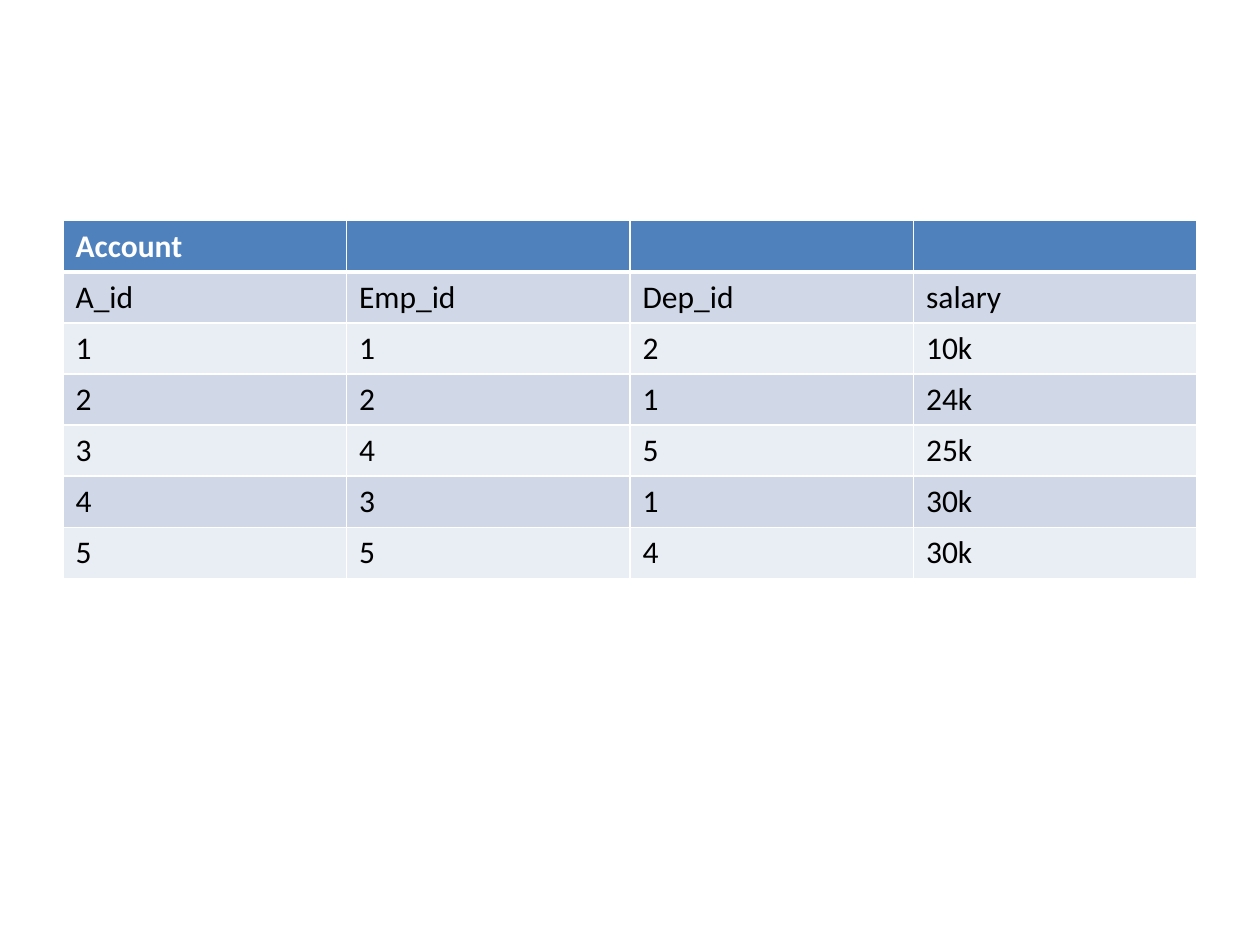
from lxml.etree import SubElement
from pptx import Presentation
from pptx.dml.color import RGBColor
from pptx.oxml.ns import qn
from pptx.util import Cm, Pt

WHITE, BLACK = "FFFFFF", "000000"
HEADER_FILL = "4F81BD"
BAND_FILLS = ("E9EDF4", "D0D8E8")
ROW_HEIGHT = Cm(1.03)
COLUMN_WIDTH = Cm(5.715)

ACCOUNT_ROWS = [
    ("Account", "", "", ""),
    ("A_id", "Emp_id", "Dep_id", "salary"),
    ("1", "1", "2", "10k"),
    ("2", "2", "1", "24k"),
    ("3", "4", "5", "25k"),
    ("4", "3", "1", "30k"),
    ("5", "5", "4", "30k"),
]


def color(hex_code):
    return RGBColor.from_string(hex_code)


def set_borders(cell, widths):
    """Draw white left, right, top and bottom borders, widths in points."""
    properties = cell._tc.get_or_add_tcPr()
    for side, width in zip(("lnL", "lnR", "lnT", "lnB"), widths):
        border = SubElement(properties, qn(f"a:{side}"), w=str(Pt(width)))
        fill = SubElement(border, qn("a:solidFill"))
        SubElement(fill, qn("a:srgbClr"), val=WHITE)


def fill_cell(cell, text, row_index):
    is_header = row_index == 0
    set_borders(cell, (1, 1, 3 if row_index == 1 else 1, 3 if is_header else 1))
    cell.fill.solid()
    cell.fill.fore_color.rgb = color(HEADER_FILL if is_header else BAND_FILLS[row_index % 2])
    cell.text = text
    font = cell.text_frame.paragraphs[0].font
    font.name = "Calibri"
    font.size = Pt(18)
    font.bold = is_header
    font.color.rgb = color(WHITE if is_header else BLACK)


def add_account_table(slide, left, top):
    row_count, column_count = len(ACCOUNT_ROWS), len(ACCOUNT_ROWS[0])
    account = slide.shapes.add_table(
        row_count, column_count, left, top,
        COLUMN_WIDTH * column_count, ROW_HEIGHT * row_count,
    ).table
    for row_index, values in enumerate(ACCOUNT_ROWS):
        for column_index, text in enumerate(values):
            fill_cell(account.cell(row_index, column_index), text, row_index)


def main():
    presentation = Presentation()
    presentation.slide_width = Cm(25.4)
    presentation.slide_height = Cm(19.05)
    slide = presentation.slides.add_slide(presentation.slide_layouts[6])
    add_account_table(slide, Cm(1.27), Cm(4.45))
    presentation.save("out.pptx")


if __name__ == "__main__":
    main()
